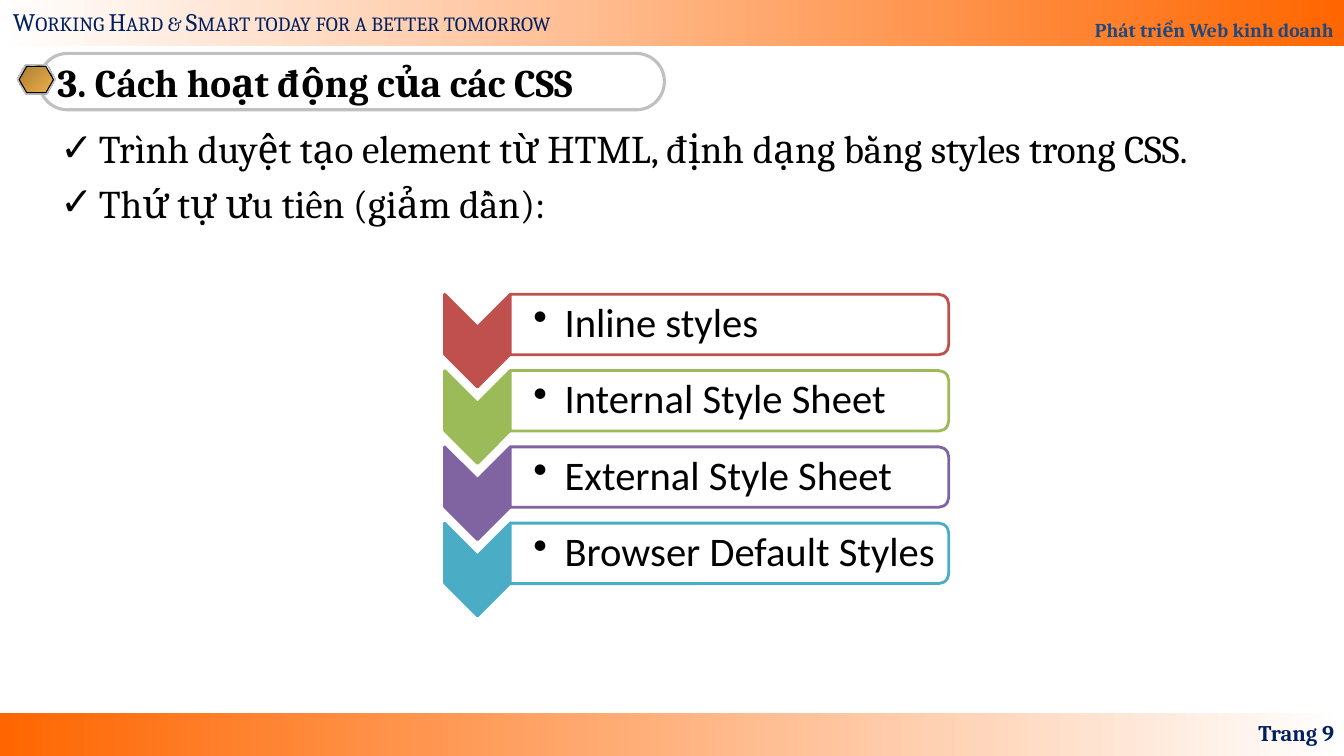
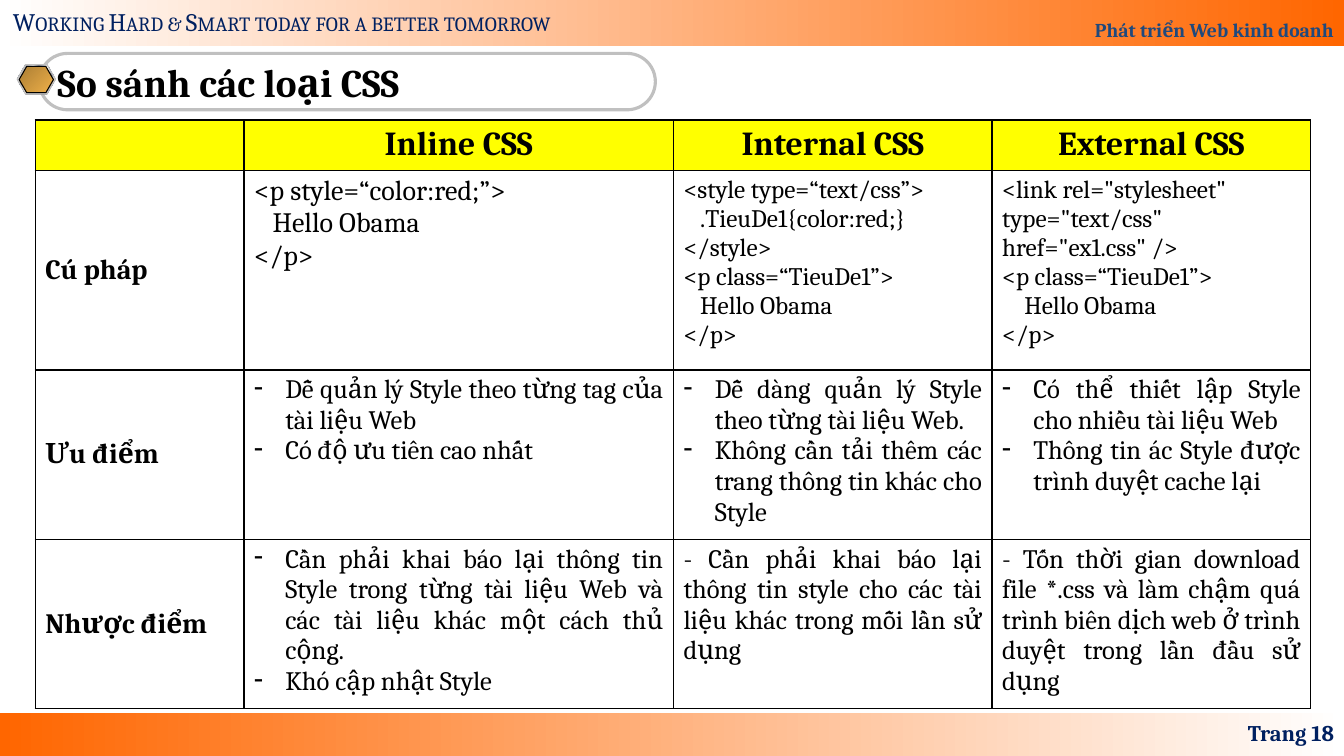
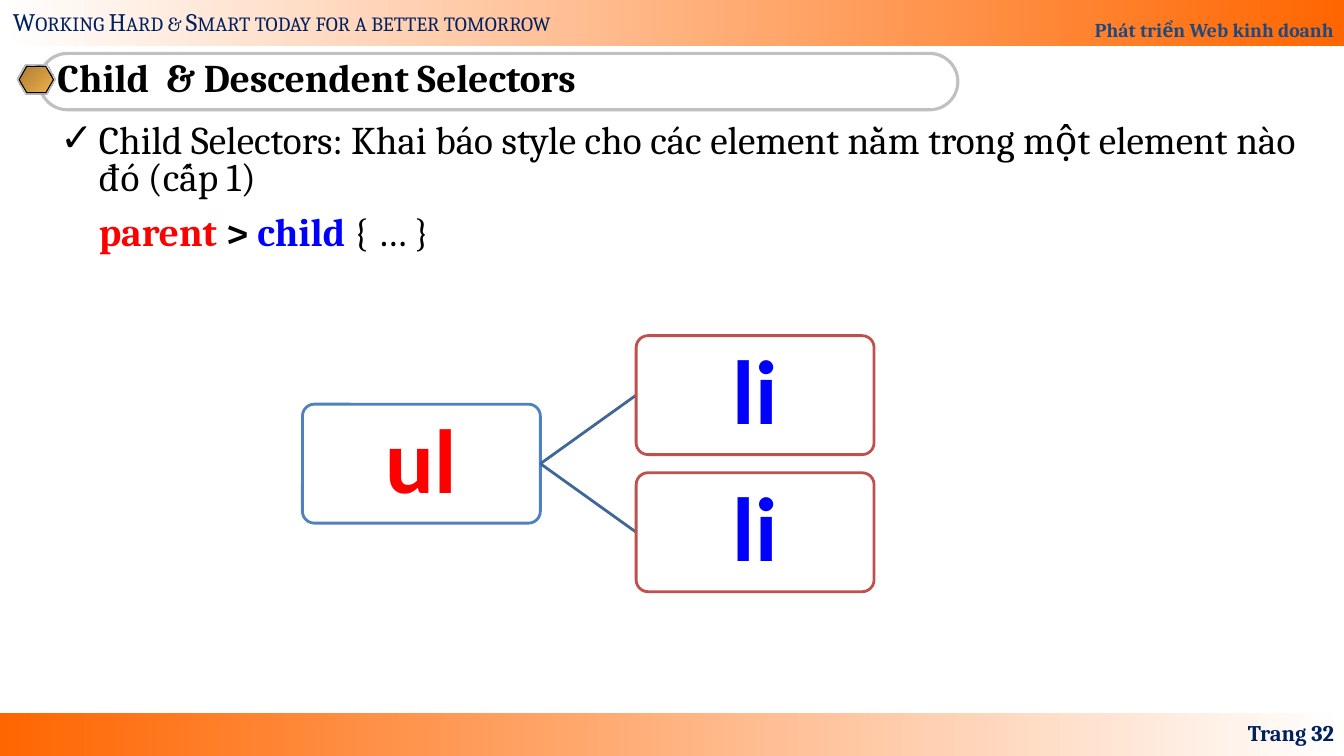
from lxml import etree
from pptx import Presentation
from pptx.dml.color import RGBColor
from pptx.enum.shapes import MSO_CONNECTOR, MSO_SHAPE
from pptx.enum.text import MSO_ANCHOR, MSO_AUTO_SIZE, PP_ALIGN
from pptx.oxml.ns import qn
from pptx.util import Inches, Pt

RECT, PILL, HEXAGON = MSO_SHAPE.RECTANGLE, MSO_SHAPE.ROUNDED_RECTANGLE, MSO_SHAPE.HEXAGON
CHEVRON, HALF_ROUND = MSO_SHAPE.CHEVRON, MSO_SHAPE.ROUND_2_SAME_RECTANGLE
STRAIGHT = MSO_CONNECTOR.STRAIGHT
TOP, MIDDLE, BOTTOM = MSO_ANCHOR.TOP, MSO_ANCHOR.MIDDLE, MSO_ANCHOR.BOTTOM
LEFT, CENTER, RIGHT, JUSTIFY = PP_ALIGN.LEFT, PP_ALIGN.CENTER, PP_ALIGN.RIGHT, PP_ALIGN.JUSTIFY
NO_AUTOFIT = MSO_AUTO_SIZE.NONE

SERIF, SANS = "Cambria", "Calibri"
SLIDE_W, SLIDE_H = 13.33, 7.5
TITLE_ONLY, TITLE_AND_BODY = 5, 1
COLORS = {
    "white": "FFFFFF", "black": "000000", "orange": "FF6600", "navy": "002060",
    "course": "1F497D", "silver": "C0C0C0", "gray": "808080", "yellow": "FFFF00",
    "red": "FF0000", "blue": "0000FF", "steel": "4F81BD", "branch": "3F6797",
    "brick": "C0504D", "green": "9BBB59", "purple": "8064A2", "teal": "4BACC6",
    "pale": "E6E6E6", "slate": "7D8496", "bronze": "AB7E34", "gold": "EFB049",
}
METAL = [(0, "pale"), (7, "slate"), (26, "pale"), (34, "slate"), (46, "pale"), (50, "white"),
         (54, "pale"), (66, "slate"), (74, "pale"), (93, "slate"), (100, "pale")]


def rgb(name):
    return RGBColor.from_string(COLORS[name])


def inches(*lengths):
    return [Inches(length) for length in lengths]


# Text helpers
def add_run(paragraph, text, size, color="black", bold=False, font=SERIF):
    run = paragraph.add_run()
    run.text = text
    run.font.size, run.font.bold, run.font.name = Pt(size), bold, font
    run.font.color.rgb = rgb(color)
    return run


def set_bullet(paragraph, mark, margin):
    """Hang the mark in the margin; without a mark, only indent the text."""
    props = paragraph._p.get_or_add_pPr()
    props.set("marL", str(Inches(margin)))
    props.set("indent", str(-Inches(margin) if mark else 0))
    if mark:
        etree.SubElement(props, qn("a:buChar")).set("char", mark)
    else:
        etree.SubElement(props, qn("a:buNone"))


def next_paragraph(frame, index):
    return frame.add_paragraph() if index else frame.paragraphs[0]


def set_frame(frame, anchor, margins=(0.1, 0.05, 0.1, 0.05)):
    frame.auto_size, frame.word_wrap, frame.vertical_anchor = NO_AUTOFIT, True, anchor
    (frame.margin_left, frame.margin_top,
     frame.margin_right, frame.margin_bottom) = inches(*margins)


def add_label(slide, box, text, size, align=LEFT, anchor=TOP, **style):
    frame = slide.shapes.add_textbox(*inches(*box)).text_frame
    set_frame(frame, anchor)
    frame.paragraphs[0].alignment = align
    return add_run(frame.paragraphs[0], text, size, **style)


# Shape helpers
def add_shape(slide, kind, box, fill=None, line=None, width=2):
    shape = slide.shapes.add_shape(kind, *inches(*box))
    shape.shadow.inherit = False
    if fill:
        shape.fill.solid()
        shape.fill.fore_color.rgb = rgb(fill)
    else:
        shape.fill.background()
    if line:
        shape.line.color.rgb, shape.line.width = rgb(line), Pt(width)
    else:
        shape.line.fill.background()
    return shape


def fill_gradient(shape, stops, angle=0):
    shape.fill.gradient()
    shape.fill.gradient_angle = (360 - angle) % 360
    stop_list = shape._element.spPr.find(qn("a:gradFill")).find(qn("a:gsLst"))
    for old in list(stop_list):
        stop_list.remove(old)
    for percent, color in stops:
        stop = etree.SubElement(stop_list, qn("a:gs"))
        stop.set("pos", str(percent * 1000))
        etree.SubElement(stop, qn("a:srgbClr")).set("val", COLORS[color])


def add_quarter_turned(slide, kind, box, fill, line):
    """Turn a shape 90 degrees so that it covers the box on the slide."""
    left, top, width, height = box
    shift = (width - height) / 2
    shape = add_shape(slide, kind, (left + shift, top - shift, height, width), fill, line)
    shape.rotation = 90


# Parts shared by all slides
def add_bands(slide, page):
    top_band = add_shape(slide, RECT, (0, 0, SLIDE_W, 0.46))
    fill_gradient(top_band, [(0, "white"), (100, "orange")])
    set_frame(top_band.text_frame, BOTTOM)
    course = top_band.text_frame.paragraphs[0]
    course.alignment, course.line_spacing = RIGHT, 1.8
    add_run(course, "Phát triển Web kinh doanh", 14, "course", True)

    bottom_band = add_shape(slide, RECT, (0, 7.07, SLIDE_W, 0.43))
    fill_gradient(bottom_band, [(0, "orange"), (100, "white")])

    motto = add_label(slide, (0.03, 0.01, 5.9, 0.4),
                      "Working Hard & Smart today for a better tomorrow", 18, color="navy")
    motto.font._element.set("cap", "small")
    add_label(slide, (10.22, 7.07, 3.11, 0.4), f"Trang {page}", 16, RIGHT, MIDDLE,
              color="navy", bold=True)


def add_title(slide, text, pill_width, line_spacing):
    left, top, height = 0.39, 0.53, 0.56
    pill = add_shape(slide, PILL, (left, top, pill_width, height), line="silver", width=2.25)
    pill.adjustments[0] = 0.5

    title = slide.shapes.title
    title.left, title.top, title.width, title.height = inches(
        left + 0.08, top, pill_width - 0.16, height)
    set_frame(title.text_frame, MIDDLE)
    heading = title.text_frame.paragraphs[0]
    heading.alignment, heading.line_spacing = LEFT, line_spacing
    add_run(heading, text, 28, bold=True)

    # Hexagon badge: shadow, metal rim, gold face
    x, y = left - 0.22, top + 0.11
    badge_shadow = add_shape(slide, HEXAGON, (x, y + 0.01, 0.38, 0.29), "gray")
    rim = add_shape(slide, HEXAGON, (x, y, 0.38, 0.29), line="silver", width=0.75)
    fill_gradient(rim, METAL, 45)
    face = add_shape(slide, HEXAGON, (x + 0.02, y + 0.02, 0.34, 0.26), line="black", width=0.75)
    fill_gradient(face, [(0, "bronze"), (100, "gold")], 45)
    for layer in (badge_shadow, rim, face):
        layer.adjustments[0] = 0.289


def add_page(deck, layout, title, pill_width, page, line_spacing=1.0):
    slide = deck.slides.add_slide(deck.slide_layouts[layout])
    add_bands(slide, page)
    add_title(slide, title, pill_width, line_spacing)
    return slide


def fill_body(slide, items, align=LEFT):
    """Each item is (mark, line spacing, runs)."""
    body = slide.placeholders[1]
    body.left, body.top, body.width, body.height = inches(0.5, 1.18, 12.5, 5.74)
    set_frame(body.text_frame, TOP)
    for index, (mark, line_spacing, runs) in enumerate(items):
        paragraph = next_paragraph(body.text_frame, index)
        set_bullet(paragraph, mark, 0.38)
        paragraph.alignment, paragraph.line_spacing = align, line_spacing
        paragraph.space_before = Pt(5.6 if index else 0)
        for text, color, bold in runs:
            add_run(paragraph, text, 28, color, bold)


# Priority list of chevrons
def add_priority_list(slide, box, steps):
    left, top, width, height = box
    arrow_w, arrow_h, bar_h = 0.65, 0.92, 0.6
    pitch = (height - arrow_h) / (len(steps) - 1)
    bar_left, bar_w = left + arrow_w, width - arrow_w
    for index, (text, color) in enumerate(steps):
        y = top + index * pitch
        add_quarter_turned(slide, CHEVRON, (left, y, arrow_w, arrow_h), color, color)
        add_quarter_turned(slide, HALF_ROUND, (bar_left, y, bar_w, bar_h), "white", color)
        frame = slide.shapes.add_textbox(
            *inches(bar_left, y + 0.03, bar_w, bar_h - 0.06)).text_frame
        set_frame(frame, MIDDLE, (0.23, 0.02, 0.02, 0.02))
        set_bullet(frame.paragraphs[0], "•", 0.31)
        frame.paragraphs[0].line_spacing = 0.9
        add_run(frame.paragraphs[0], text, 29, font=SANS)


# Comparison table
def set_borders(cell):
    props = cell._tc.get_or_add_tcPr()
    for index, side in enumerate(("lnL", "lnR", "lnT", "lnB")):
        border = etree.Element(qn(f"a:{side}"), w=str(Pt(1)))
        paint = etree.SubElement(border, qn("a:solidFill"))
        etree.SubElement(paint, qn("a:srgbClr")).set("val", COLORS["black"])
        props.insert(index, border)


def fill_cell(cell, lines, size, bold=False, align=LEFT, anchor=TOP, mark=None, fill="white"):
    cell.fill.solid()
    cell.fill.fore_color.rgb = rgb(fill)
    set_borders(cell)
    cell.vertical_anchor = anchor
    for index, line in enumerate(lines):
        paragraph = next_paragraph(cell.text_frame, index)
        if mark:
            set_bullet(paragraph, mark, 0.31)
        paragraph.alignment = align
        add_run(paragraph, line, size, bold=bold)


def add_comparison(slide, box, widths, heights, headings, rows):
    """Each row is (label, cells), each cell (lines, style)."""
    table = slide.shapes.add_table(len(heights), len(widths), *inches(*box)).table
    table.first_row = table.horz_banding = False
    for column, width in zip(table.columns, widths):
        column.width = Inches(width)
    for row, height in zip(table.rows, heights):
        row.height = Inches(height)
    for col, heading in enumerate(headings):
        fill_cell(table.cell(0, col), [heading] if heading else [], 24, True, CENTER,
                  fill="yellow")
    for row, (label, cells) in enumerate(rows, 1):
        fill_cell(table.cell(row, 0), [label], 20, True, anchor=MIDDLE)
        for col, (lines, style) in enumerate(cells, 1):
            fill_cell(table.cell(row, col), lines, **style)


# Parent and child tree
def add_node(slide, box, text, line, color):
    node = add_shape(slide, PILL, box, "white", line)
    node.adjustments[0] = 0.1
    set_frame(node.text_frame, MIDDLE, (0.05, 0.05, 0.05, 0.05))
    paragraph = node.text_frame.paragraphs[0]
    paragraph.alignment, paragraph.line_spacing = CENTER, 0.9
    add_run(paragraph, text, 65, color, True, SANS)


def add_tree(slide, box, parent, children):
    left, top, width, height = box
    node_w, node_h = 2.36, 1.18
    pitch = (height - node_h) / (len(children) - 1)
    child_left, middle = left + width - node_w, top + height / 2
    add_node(slide, (left, middle - node_h / 2, node_w, node_h), parent, "steel", "red")
    for index, child in enumerate(children):
        y = top + index * pitch
        branch = slide.shapes.add_connector(
            STRAIGHT, *inches(left + node_w, middle, child_left, y + node_h / 2))
        branch.line.color.rgb, branch.line.width = rgb("branch"), Pt(2)
        etree.SubElement(branch._element.spPr, qn("a:effectLst"))
        add_node(slide, (child_left, y, node_w, node_h), child, "brick", "blue")


# Slides
def build_cascade(deck):
    slide = add_page(deck, TITLE_AND_BODY, "3. Cách hoạt động của các CSS", 6.2, 9)
    points = ["Trình duyệt tạo element từ HTML, định dạng bằng styles trong CSS.",
              "Thứ tự ưu tiên (giảm dần):"]
    fill_body(slide, [("✓", 1.0, [(point, "black", False)]) for point in points], JUSTIFY)
    add_priority_list(slide, (4.41, 2.92, 5.0, 3.19), [
        ("Inline styles", "brick"), ("Internal Style Sheet", "green"),
        ("External Style Sheet", "purple"), ("Browser Default Styles", "teal")])


def build_comparison(deck):
    slide = add_page(deck, TITLE_ONLY, "So sánh các loại CSS", 6.11, 18)
    large_code, code = {"size": 20}, {"size": 18}
    prose = {"size": 19, "align": JUSTIFY}
    dashes = {**prose, "mark": "-"}
    rows = [
        ("Cú pháp", [
            (["<p style=“color:red;”>", "   Hello Obama", "</p>"], large_code),
            (["<style type=“text/css”>", "   .TieuDe1{color:red;}", "</style>",
              "<p class=“TieuDe1”>", "   Hello Obama", "</p>"], code),
            (['<link rel="stylesheet" type="text/css" href="ex1.css" />',
              "<p class=“TieuDe1”>", "    Hello Obama", "</p>"], code)]),
        ("Ưu điểm", [
            (["Dễ quản lý Style theo từng tag của tài liệu Web",
              "Có độ ưu tiên cao nhất"], dashes),
            (["Dễ dàng quản lý Style theo từng tài liệu Web.",
              "Không cần tải thêm các trang thông tin khác cho Style"], dashes),
            (["Có thể thiết lập Style cho nhiều tài liệu Web",
              "Thông tin ác Style được trình duyệt cache lại"], dashes)]),
        ("Nhược điểm", [
            (["Cần phải khai báo lại thông tin Style trong từng tài liệu Web và các tài liệu "
              "khác một cách thủ cộng.", "Khó cập nhật Style"], dashes),
            (["- Cần phải khai báo lại thông tin style cho các tài liệu khác trong mỗi lần "
              "sử dụng"], prose),
            (["- Tốn thời gian download file *.css và làm chậm quá trình biên dịch web ở "
              "trình duyệt trong lần đầu sử dụng"], prose)]),
    ]
    add_comparison(slide, (0.35, 1.19, 12.65, 5.84), (2.07, 4.26, 3.16, 3.16),
                   (0.5, 1.98, 1.68, 1.68),
                   ("", "Inline CSS", "Internal CSS", "External CSS"), rows)


def build_selectors(deck):
    slide = add_page(deck, TITLE_AND_BODY, "Child  & Descendent Selectors", 9.11, 32, 0.8)
    fill_body(slide, [
        ("✓", 0.8, [("Child Selectors: Khai báo style cho các element nằm trong một element "
                     "nào đó (cấp 1)", "black", False)]),
        (None, 1.0, [("parent", "red", True), (" > ", "black", True),
                     ("child ", "blue", True), ("{ … }", "black", False)]),
    ])
    add_tree(slide, (3, 3.33, 5.67, 2.54), "ul", ["li", "li"])


def main():
    deck = Presentation()
    deck.slide_width, deck.slide_height = inches(SLIDE_W, SLIDE_H)
    build_cascade(deck)
    build_comparison(deck)
    build_selectors(deck)
    deck.save("out.pptx")


if __name__ == "__main__":
    main()
